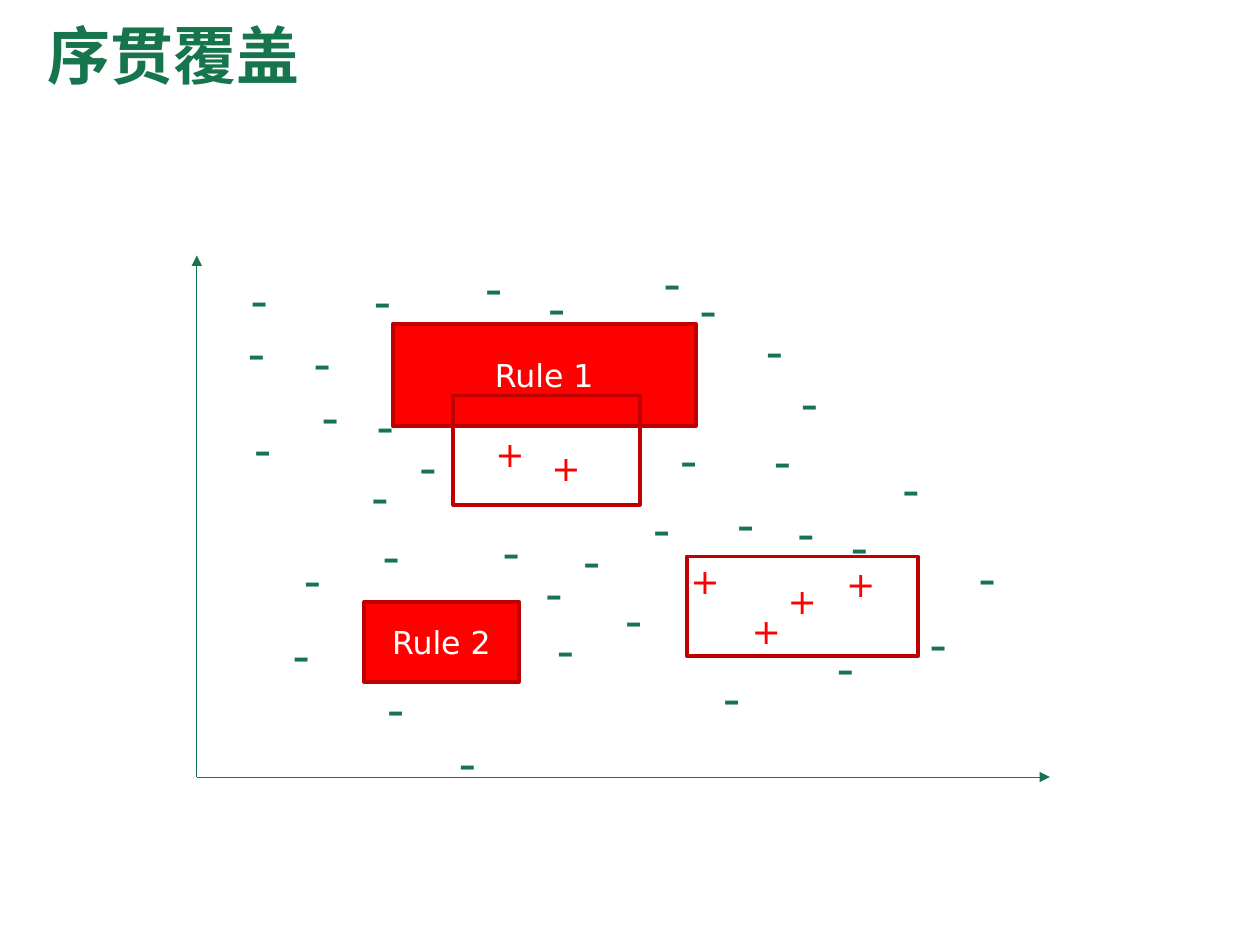
from lxml import etree
from pptx import Presentation
from pptx.dml.color import RGBColor
from pptx.enum.shapes import MSO_CONNECTOR, MSO_SHAPE
from pptx.enum.text import MSO_ANCHOR, MSO_AUTO_SIZE, PP_ALIGN
from pptx.oxml.ns import qn
from pptx.util import Pt

STRAIGHT = MSO_CONNECTOR.STRAIGHT
RECTANGLE = MSO_SHAPE.RECTANGLE
TOP, MIDDLE = MSO_ANCHOR.TOP, MSO_ANCHOR.MIDDLE
LEFT, CENTER = PP_ALIGN.LEFT, PP_ALIGN.CENTER
GROW = MSO_AUTO_SIZE.SHAPE_TO_FIT_TEXT
NO_FIT = MSO_AUTO_SIZE.NONE

COLOURS = {
    "green": "16754D",
    "red": "FF0000",
    "dark red": "C00000",
    "white": "FFFFFF",
}

ORIGIN = (112.5, 444)
AXIS_ENDS = [(112.5, 146), (600, 444)]

POSITIVES = [
    (476.5, 318), (387.5, 316), (422.5, 345), (443, 327.5),
    (276, 243.5), (308, 251.5),
]

NEGATIVES = [
    (255, 415), (136, 150.5), (134.5, 180.5), (176.5, 217.5),
    (172, 186.5), (450.5, 209.5), (138, 235.5), (208, 222.5),
    (205, 263), (232.5, 246), (166.5, 310.5), (211.5, 296.5),
    (160, 353.5), (280, 294.5), (326, 299.5), (304.5, 318),
    (381.5, 242), (311, 350.5), (414, 278.5), (350, 333.5),
    (508.5, 258.5), (435, 242.5), (366, 281.5), (479, 291.5),
    (406, 378), (471, 360.5), (214, 384), (430.5, 179.5),
    (448.5, 283.5), (270, 143.5), (306, 155), (206.5, 151),
    (372, 141), (392.5, 156), (552, 309.5), (524, 347),
]

RULES = [
    ((224.5, 185, 173, 58.5), "Rule 1"),
    ((208, 344, 88.5, 45.5), "Rule 2"),
    ((392.5, 318, 132, 57), None),
    ((259, 226, 106.5, 62.5), None),
]


def colour(name):
    return RGBColor.from_string(COLOURS[name])


def apply(target, **values):
    for name, value in values.items():
        setattr(target, name, value)


class SlideBuilder:
    font_name = "DejaVu Sans"

    def __init__(self, slide):
        self.slide = slide

    def fill_text(self, shape, text, size, colour_name, bold=False,
                  anchor=TOP, align=LEFT, spacing=1.0, fit=NO_FIT):
        frame = shape.text_frame
        apply(frame, word_wrap=True, vertical_anchor=anchor, auto_size=fit)
        para = frame.paragraphs[0]
        apply(para, alignment=align, line_spacing=spacing)
        span = para.add_run()
        span.text = text
        apply(span.font, name=self.font_name, size=Pt(size), bold=bold)
        span.font.color.rgb = colour(colour_name)

    def text_box(self, bounds, text, size, colour_name, **style):
        box = self.slide.shapes.add_textbox(*map(Pt, bounds))
        self.fill_text(box, text, size, colour_name, **style)

    def marks(self, points, text, size, colour_name, height):
        for left, top in points:
            self.text_box((left, top, 28, height), text, size, colour_name, fit=GROW)

    def rectangle(self, bounds, label=None):
        box = self.slide.shapes.add_shape(RECTANGLE, *map(Pt, bounds))
        box.shadow.inherit = False
        box.line.width = Pt(2.25)
        box.line.color.rgb = colour("dark red")
        if label is None:
            box.fill.background()
        else:
            box.fill.solid()
            box.fill.fore_color.rgb = colour("red")
            self.fill_text(box, label, 18, "white", anchor=MIDDLE, align=CENTER)

    def arrow(self, start, end):
        arrow = self.slide.shapes.add_connector(STRAIGHT, *map(Pt, start + end))
        arrow.line.width = Pt(0.5)
        arrow.line.color.rgb = colour("green")
        properties = arrow.element.spPr
        outline = properties.find(qn("a:ln"))
        etree.SubElement(outline, qn("a:tailEnd"), type="triangle")
        etree.SubElement(properties, qn("a:effectLst"))


def main():
    deck = Presentation()
    apply(deck, slide_width=Pt(720), slide_height=Pt(540))
    builder = SlideBuilder(deck.slides.add_slide(deck.slide_layouts[6]))

    builder.text_box((20, 3.5, 620.5, 61), "序贯覆盖", 36, "green",
                     bold=True, anchor=MIDDLE, spacing=0.9)
    for end in AXIS_ENDS:
        builder.arrow(ORIGIN, end)
    builder.marks(POSITIVES, "+", 20, "red", 31.5)
    builder.marks(NEGATIVES, "-", 28, "green", 41)
    for bounds, label in RULES:
        builder.rectangle(bounds, label)

    deck.save("out.pptx")


if __name__ == "__main__":
    main()
